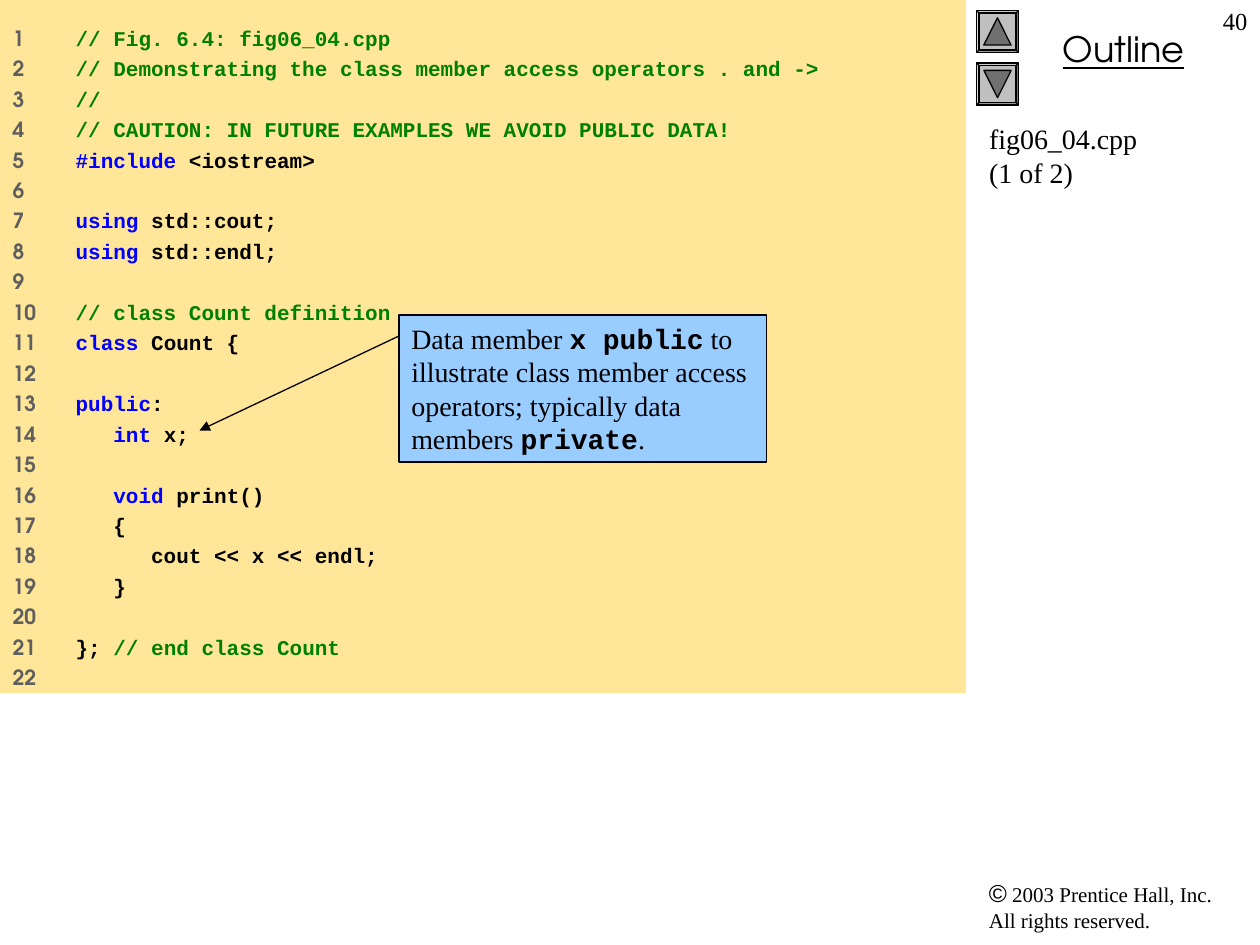
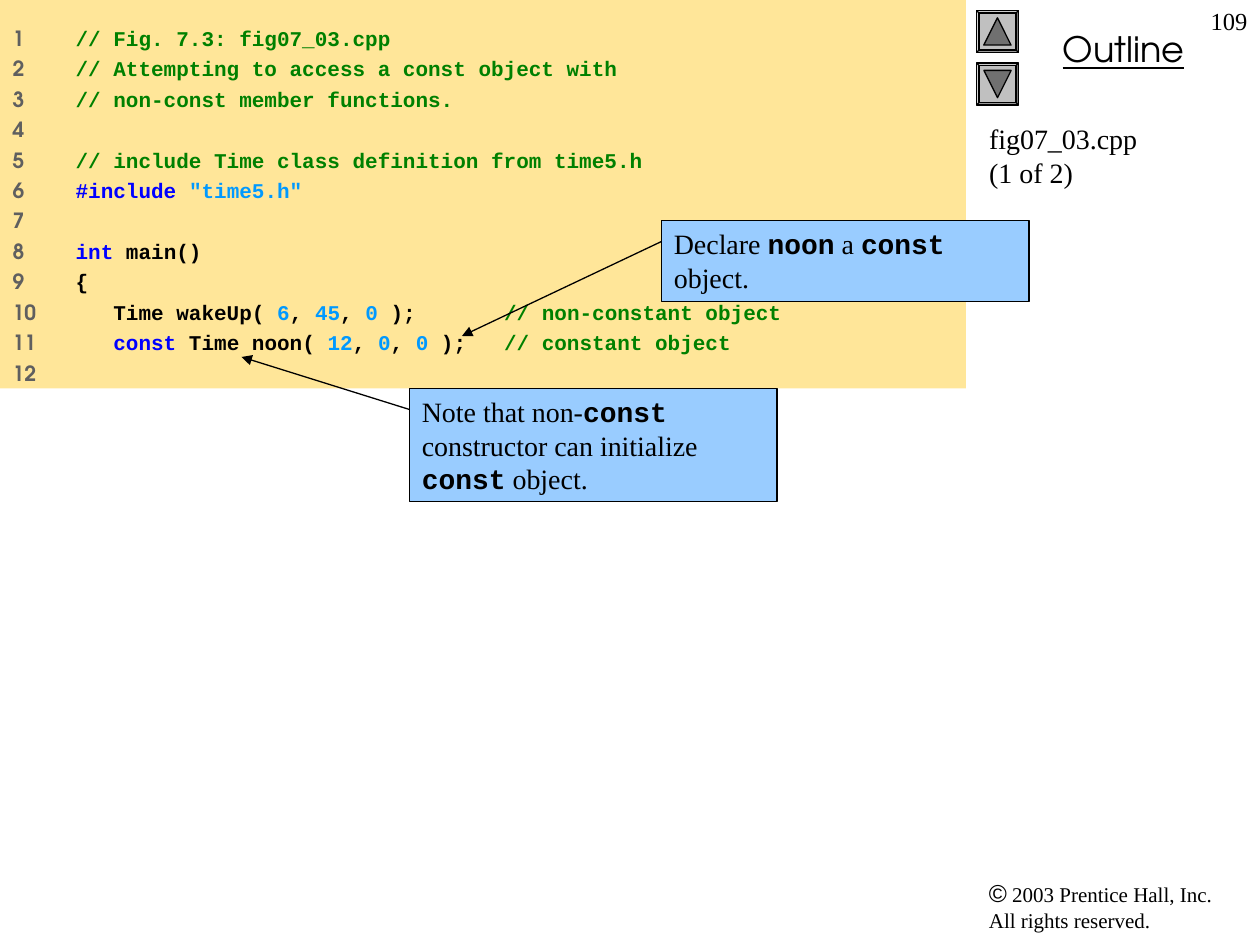
from lxml.etree import SubElement
from pptx import Presentation
from pptx.dml.color import RGBColor
from pptx.enum.shapes import MSO_CONNECTOR, MSO_SHAPE as SHAPE
from pptx.enum.text import MSO_ANCHOR as ANCHOR, MSO_AUTO_SIZE as AUTO, PP_ALIGN as ALIGN
from pptx.oxml.ns import qn
from pptx.util import Emu, Pt

SCALE = 914400 // 120
SERIF, MONO, ROUND, SANS = "Times New Roman", "Courier New", "TeX Gyre Adventor", "Arial"
BLACK, PANEL, CALLOUT = "000000", "FFE699", "99CCFF"
FACE, ARROW, NUMBER = "C0C0C0", "707070", "5F5F5F"
TOKENS = {"plain": BLACK, "comment": "008000", "keyword": "0000FF", "literal": "0099FF"}


def px(n):
    return Emu(n * SCALE)


def rgb(value):
    return RGBColor.from_string(value)


class Deck:
    """Holds the shared style and the current slide, and draws each kind of element."""

    def __init__(self):
        self.prs = Presentation()
        self.prs.slide_width, self.prs.slide_height = px(1200), px(900)
        self.s = None

    def slide(self, number, title, lines, panel_height):
        self.s = self.prs.slides.add_slide(self.prs.slide_layouts[0])
        self.copyright()
        self.outline()
        self.button(10, 0)
        self.button(60, 180)
        self.title(title)
        self.code(lines, panel_height)
        self.label(1140, 0, 60, 60, [(str(number), SERIF, 14)], ALIGN.RIGHT)

    def run(self, p, text, font, size, color=BLACK, bold=False):
        r = p.add_run()
        r.text = text
        f = r.font
        f.name, f.size, f.bold = font, Pt(size), bold
        f.color.rgb = rgb(color)
        return r

    def frame(self, sp, inset=6):
        tf = sp.text_frame
        tf.word_wrap, tf.auto_size, tf.vertical_anchor = True, AUTO.NONE, ANCHOR.TOP
        tf.margin_left = tf.margin_right = px(12)
        tf.margin_top = tf.margin_bottom = px(inset)
        return tf

    def place(self, sp, x, y, w, h):
        sp.left, sp.top, sp.width, sp.height = map(px, (x, y, w, h))

    def label(self, x, y, w, h, runs, align=ALIGN.LEFT):
        tf = self.frame(self.s.shapes.add_textbox(*map(px, (x, y, w, h))))
        p = tf.paragraphs[0]
        p.alignment = align
        for text, font, size in runs:
            self.run(p, text, font, size)
        return p

    def shape(self, kind, x, y, w, h, fill):
        sp = self.s.shapes.add_shape(kind, *map(px, (x, y, w, h)))
        sp.shadow.inherit = False
        sp.fill.solid()
        sp.fill.fore_color.rgb = rgb(fill)
        sp.line.color.rgb = rgb(BLACK)
        sp.line.width = Pt(0.75)
        return sp

    def copyright(self):
        p = self.label(930, 830, 260, 65, [("©", SANS, 14), (" 2003 Prentice Hall, Inc.", SERIF, 12)])
        p.add_line_break()
        self.run(p, "All rights reserved.", SERIF, 12)

    def outline(self):
        p = self.label(940, 20, 260, 53, [("Outline", ROUND, 20)], ALIGN.CENTER)
        p.runs[0].font.underline = True

    def button(self, y, rotation):
        face = self.shape(SHAPE.BEVEL, 930, y, 40, 40, FACE)
        face.adjustments[0] = 0.06
        arrow = self.shape(SHAPE.ISOSCELES_TRIANGLE, 937, y + 7, 26, 26, ARROW)
        arrow.rotation = rotation

    def title(self, lines):
        sp = self.s.shapes.title
        self.place(sp, 930, 110, 270, 630)
        p = self.frame(sp).paragraphs[0]
        p.alignment = ALIGN.LEFT
        for i, line in enumerate(lines):
            if i:
                p.add_line_break()
            self.run(p, line, SERIF, 16)

    def code(self, lines, height):
        sp = self.s.placeholders[1]
        self.place(sp, 0, 0, 920, height)
        sp.fill.solid()
        sp.fill.fore_color.rgb = rgb(PANEL)
        tf = self.frame(sp, 24)
        for i, tokens in enumerate(lines, 1):
            p = tf.paragraphs[0] if i == 1 else tf.add_paragraph()
            tabs = SubElement(p._p.get_or_add_pPr(), qn("a:tabLst"))
            SubElement(tabs, qn("a:tab"), pos=str(px(44)), algn="l")
            p.alignment = ALIGN.LEFT
            p.space_before = Pt(3 if i > 1 else 0)
            self.run(p, f"{i}\t" if tokens else str(i), ROUND, 12, NUMBER, True)
            for kind, text in tokens:
                self.run(p, text, MONO, 12, TOKENS[kind], True)

    def callout(self, x, y, h, texts, target):
        p = self.frame(self.shape(SHAPE.RECTANGLE, x, y, 350, h, CALLOUT)).paragraphs[0]
        p.alignment = ALIGN.LEFT
        for i, text in enumerate(texts):
            is_code = i % 2 == 1
            self.run(p, text, MONO if is_code else SERIF, 16, bold=is_code)
        self.arrow(x, y + 20, *target)

    def arrow(self, x1, y1, x2, y2):
        c = self.s.shapes.add_connector(MSO_CONNECTOR.STRAIGHT, *map(px, (x1, y1, x2, y2)))
        c.line.color.rgb = rgb(BLACK)
        c.line.width = Pt(0.75)
        SubElement(c.line._get_or_add_ln(), qn("a:tailEnd"), type="triangle")
        SubElement(c._element.spPr, qn("a:effectLst"))


def plain(text):
    return "plain", text


def comment(text):
    return "comment", text


def keyword(text):
    return "keyword", text


def literal(text):
    return "literal", text


COUNT_CODE = [
    [comment("// Fig. 6.4: fig06_04.cpp")],
    [comment("// Demonstrating the class member access operators . and ->")],
    [comment("//")],
    [comment("// CAUTION: IN FUTURE EXAMPLES WE AVOID PUBLIC DATA!")],
    [keyword("#include"), plain(" <iostream>")],
    [],
    [keyword("using"), plain(" std::cout;")],
    [keyword("using"), plain(" std::endl;")],
    [],
    [comment("// class Count definition")],
    [keyword("class"), plain(" Count {")],
    [],
    [keyword("public"), plain(":")],
    [keyword("   int"), plain(" x;")],
    [],
    [keyword("   void"), plain(" print()")],
    [plain("   {")],
    [plain("      cout << x << endl;")],
    [plain("   }")],
    [],
    [plain("}; "), comment("// end class Count")],
    [],
]

TIME_CODE = [
    [comment("// Fig. 7.3: fig07_03.cpp")],
    [comment("// Attempting to access a const object with")],
    [comment("// non-const member functions.")],
    [],
    [comment("// include Time class definition from time5.h")],
    [keyword("#include "), literal('"time5.h"')],
    [],
    [keyword("int"), plain(" main()")],
    [plain("{")],
    [plain("   Time wakeUp( "), literal("6"), plain(", "), literal("45"), plain(", "),
     literal("0"), plain(" );       "), comment("// non-constant object")],
    [keyword("   const"), plain(" Time noon( "), literal("12"), plain(", "), literal("0"),
     plain(", "), literal("0"), plain(" );   "), comment("// constant object")],
    [],
]


def main():
    deck = Deck()
    deck.slide(40, ["fig06_04.cpp", "(1 of 2)"], COUNT_CODE, 660)
    deck.callout(380, 300, 140, [
        "Data member ", "x public",
        " to illustrate class member access operators; typically data members ",
        "private", "."], (190, 410))

    deck.slide(109, ["fig07_03.cpp", "(1 of 2)"], TIME_CODE, 370)
    deck.callout(630, 210, 77, ["Declare ", "noon", " a ", "const", " object."], (440, 320))
    deck.callout(390, 370, 108, [
        "Note that non-", "const", " constructor can initialize ", "const", " object."], (230, 340))
    deck.prs.save("out.pptx")


if __name__ == "__main__":
    main()
